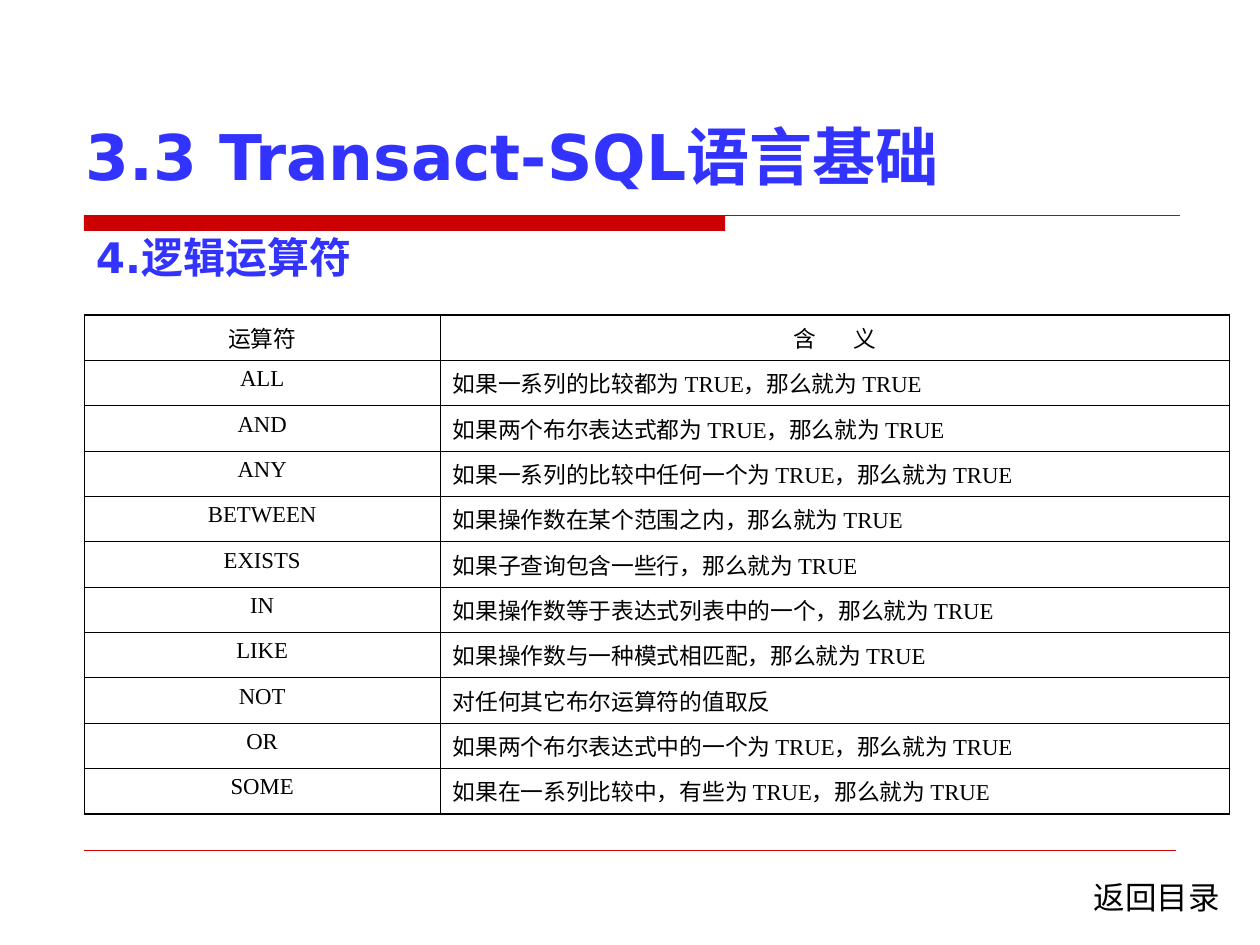
from lxml import etree
from pptx import Presentation, util as u
from pptx.dml.color import RGBColor
from pptx.enum import shapes, text
from pptx.oxml import ns

UNIT = u.Inches(1) / 12
BLACK, BLUE, RED = "000000", "3333FF", "CC0000"
OPERATORS = [
    ("运算符", "含 义"),
    ("ALL", "如果一系列的比较都为 TRUE，那么就为 TRUE"),
    ("AND", "如果两个布尔表达式都为 TRUE，那么就为 TRUE"),
    ("ANY", "如果一系列的比较中任何一个为 TRUE，那么就为 TRUE"),
    ("BETWEEN", "如果操作数在某个范围之内，那么就为 TRUE"),
    ("EXISTS", "如果子查询包含一些行，那么就为 TRUE"),
    ("IN", "如果操作数等于表达式列表中的一个，那么就为 TRUE"),
    ("LIKE", "如果操作数与一种模式相匹配，那么就为 TRUE"),
    ("NOT", "对任何其它布尔运算符的值取反"),
    ("OR", "如果两个布尔表达式中的一个为 TRUE，那么就为 TRUE"),
    ("SOME", "如果在一系列比较中，有些为 TRUE，那么就为 TRUE"),
]


def grid(*counts):
    """Turn counts of grid units into lengths."""
    return [u.Emu(round(count * UNIT)) for count in counts]


def color(value):
    """Turn a hex string into a colour."""
    return RGBColor.from_string(value)


def write(frame, words, size, font="DejaVu Sans", fill=BLACK, bold=False,
          align=text.PP_ALIGN.LEFT, line_spacing=None, before=0, tracking=0):
    """Write one formatted paragraph into a text frame."""
    paragraph = frame.paragraphs[0]
    paragraph.alignment = align
    paragraph.line_spacing = line_spacing
    paragraph.space_before = u.Pt(before)
    run = paragraph.add_run()
    run.text = words
    run.font.size, run.font.name, run.font.bold = u.Pt(size), font, bold
    run.font.color.rgb = color(fill)
    if tracking:
        run.font._element.set("spc", str(tracking * 100))


def add_text(slide, box, words, anchor=text.MSO_ANCHOR.TOP, **style):
    """Place a wrapping text box."""
    frame = slide.shapes.add_textbox(*grid(*box)).text_frame
    frame.word_wrap = True
    frame.vertical_anchor = anchor
    write(frame, words, **style)


def add_rule(slide, box, weight):
    """Draw a horizontal red line along the top of the box."""
    left, top, width = grid(*box[:3])
    line = slide.shapes.add_connector(shapes.MSO_CONNECTOR.STRAIGHT,
                                      left, top, left + width, top)
    line.line.color.rgb = color(RED)
    line.line.width = u.Pt(weight)
    etree.SubElement(line._element.spPr, ns.qn("a:effectLst"))


def add_title_rule(slide, box, bar_share):
    """Draw a thick bar that continues as a thin line along its top."""
    left, top, width, height = grid(*box)
    bar = slide.shapes.add_shape(shapes.MSO_SHAPE.RECTANGLE, left, top,
                                 round(width * bar_share), height)
    bar.shadow.inherit = False
    bar.fill.solid()
    bar.fill.fore_color.rgb = color(RED)
    bar.line.fill.background()
    add_rule(slide, box, weight=0.75)


def set_borders(cell, **widths):
    """Give the cell black borders of the given widths in points."""
    properties = cell._tc.get_or_add_tcPr()
    for side, width in widths.items():
        border = etree.SubElement(properties, ns.qn(f"a:ln{side}"), w=str(u.Pt(width)))
        fill = etree.SubElement(border, ns.qn("a:solidFill"))
        etree.SubElement(fill, ns.qn("a:srgbClr"), val=BLACK)


def add_operator_table(slide, box, first_share):
    """Place the table of operators and their meanings."""
    left, top, width, height = grid(*box)
    last = len(OPERATORS) - 1
    table = slide.shapes.add_table(last + 1, 2, left, top, width, height).table
    table.first_row = table.horz_banding = False
    table.columns[0].width = round(width * first_share)
    table.columns[1].width = width - table.columns[0].width
    for row, entries in enumerate(OPERATORS):
        for column, words in enumerate(entries):
            cell = table.cell(row, column)
            set_borders(cell, L=0.45 if column else 0.34, R=0.34 if column else 0.45,
                        T=0.45 if row else 0.96, B=0.96 if row == last else 0.45)
            cell.fill.background()
            centred = row == 0 or column == 0
            write(cell.text_frame, words, size=13, font="Times New Roman",
                  align=text.PP_ALIGN.CENTER if centred else text.PP_ALIGN.LEFT,
                  tracking=9 if words == "含 义" else 0)


def main():
    """Build and save the slide."""
    presentation = Presentation()
    presentation.slide_width, presentation.slide_height = grid(120, 90)
    slide = presentation.slides.add_slide(presentation.slide_layouts[6])
    add_title_rule(slide, (8, 20.5, 104.4, 1.5), bar_share=0.585)
    add_rule(slide, (8, 81, 104), weight=0.25)
    add_text(slide, (7.95, 22, 97, 6), "4.逻辑运算符", size=24, fill=BLUE,
             bold=True, line_spacing=0.9, before=6)
    add_operator_table(slide, (8, 30, 109.1, 47.55), first_share=0.311)
    add_text(slide, (7, 10, 105, 9.6), "3.3 Transact-SQL语言基础", size=36,
             fill=BLUE, bold=True, anchor=text.MSO_ANCHOR.MIDDLE)
    add_text(slide, (103, 83, 15, 4.8), "返回目录", size=18)
    presentation.save("out.pptx")


if __name__ == "__main__":
    main()
